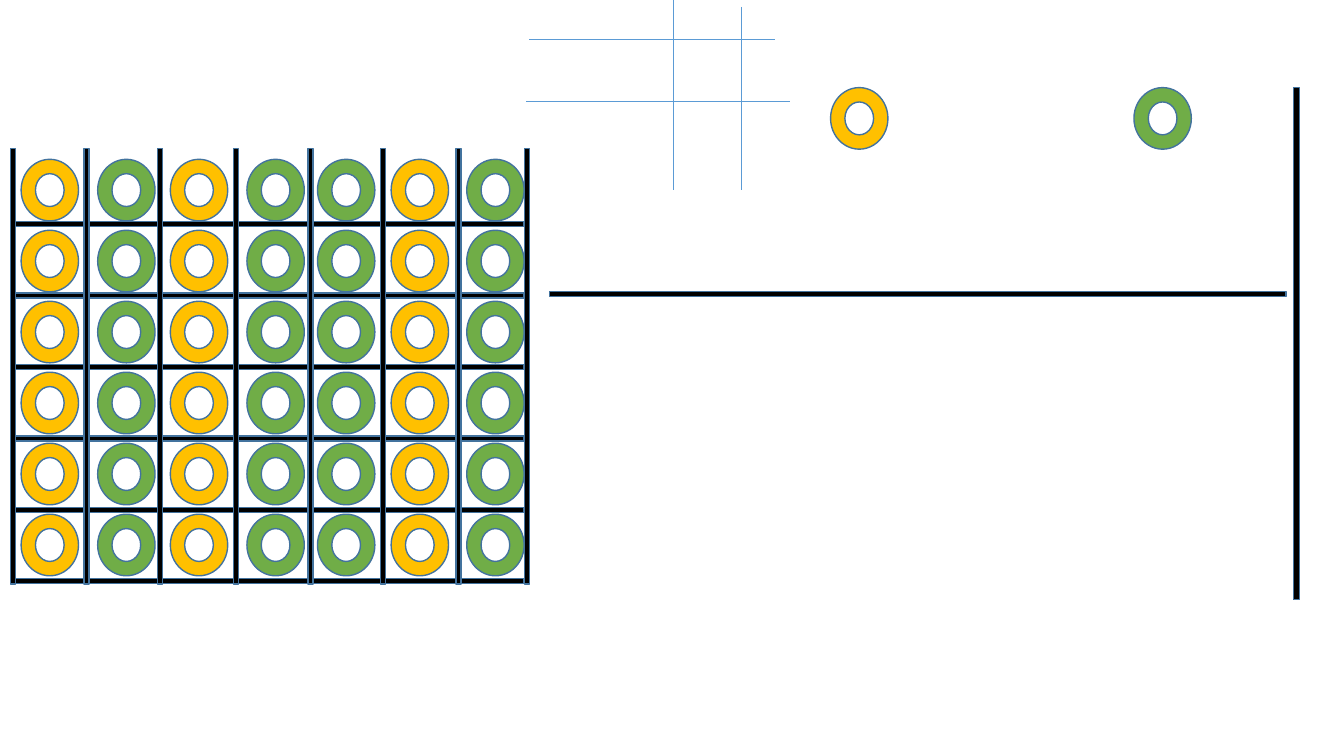
from dataclasses import dataclass

from lxml import etree
from pptx import Presentation
from pptx.dml.color import RGBColor
from pptx.enum import shapes
from pptx.oxml import ns
from pptx.util import Pt


@dataclass(frozen=True)
class Theme:
    yellow: RGBColor = RGBColor(0xFF, 0xC0, 0x00)
    green: RGBColor = RGBColor(0x70, 0xAD, 0x47)
    black: RGBColor = RGBColor(0x00, 0x00, 0x00)
    outline: RGBColor = RGBColor(0x43, 0x73, 0x9E)
    guide: RGBColor = RGBColor(0x5B, 0x9B, 0xD5)
    outline_width: float = 1
    guide_width: float = 0.5


THEME = Theme()
Y, G = THEME.yellow, THEME.green

# Board layout, in points
DISC_COLUMNS = [(15.1, Y), (69.8, G), (121.7, Y), (176.4, G),
                (226.8, G), (279.4, Y), (333.4, G)]
ROWS = 6
DISC_TOP, DISC_PITCH = 113.8, 50.7
SHELF_LEFT, SHELF_TOP, SHELF_PITCH, SHELF_LENGTH = 9.4, 158.4, 51, 365
WALL_CENTERS = [9.4, 61.9, 114.5, 168.5, 221.8, 273.6, 327.6]
RIGHT_WALL = 376.6
WALL_MIDDLE, WALL_LENGTH = 261.7, 311
BAR = 3.6


def add_filled(slide, kind, left, top, width, height, color):
    shape = slide.shapes.add_shape(kind, Pt(left), Pt(top), Pt(width), Pt(height))
    shape.shadow.inherit = False
    shape.fill.solid()
    shape.fill.fore_color.rgb = color
    shape.line.color.rgb = THEME.outline
    shape.line.width = Pt(THEME.outline_width)
    return shape


def add_disc(slide, left, top, color):
    add_filled(slide, shapes.MSO_SHAPE.DONUT, left, top, 41, 44, color)


def add_bar(slide, left, top, length, thickness=BAR):
    return add_filled(slide, shapes.MSO_SHAPE.RECTANGLE, left, top,
                      length, thickness, THEME.black)


def add_wall(slide, center, middle, length, thickness=BAR):
    """Add a bar turned upright around its centre."""
    bar = add_bar(slide, center - length / 2, middle - thickness / 2, length, thickness)
    bar.rotation = 270


def add_guide(slide, x1, y1, x2, y2):
    line = slide.shapes.add_connector(
        shapes.MSO_CONNECTOR.STRAIGHT, Pt(x1), Pt(y1), Pt(x2), Pt(y2))
    line.line.color.rgb = THEME.guide
    line.line.width = Pt(THEME.guide_width)
    etree.SubElement(line._element.spPr, ns.qn("a:effectLst"))


def add_board(slide):
    for row in range(ROWS):
        for left, color in DISC_COLUMNS:
            add_disc(slide, left, DISC_TOP + row * DISC_PITCH, color)
    add_wall(slide, RIGHT_WALL, WALL_MIDDLE, WALL_LENGTH)
    for row in range(ROWS):
        add_bar(slide, SHELF_LEFT, SHELF_TOP + row * SHELF_PITCH, SHELF_LENGTH)
    for center in WALL_CENTERS:
        add_wall(slide, center, WALL_MIDDLE, WALL_LENGTH)


def main():
    presentation = Presentation()
    presentation.slide_width, presentation.slide_height = Pt(960), Pt(540)
    slide = presentation.slides.add_slide(presentation.slide_layouts[6])

    add_board(slide)

    # Spare discs and bars
    add_disc(slide, 810, 62.6, G)
    add_disc(slide, 593.3, 62.6, Y)
    add_wall(slide, 925.9, 245.5, 365.8, 4.3)
    add_bar(slide, 392.4, 208.1, 526.3)

    # Crossing guide lines
    for ends in [(378, 28.1, 553.7, 28.1), (375.8, 72.7, 564.5, 72.7),
                 (481, 0, 481, 135.4), (529.2, 5, 529.2, 135.4)]:
        add_guide(slide, *ends)

    presentation.save("out.pptx")


main()
